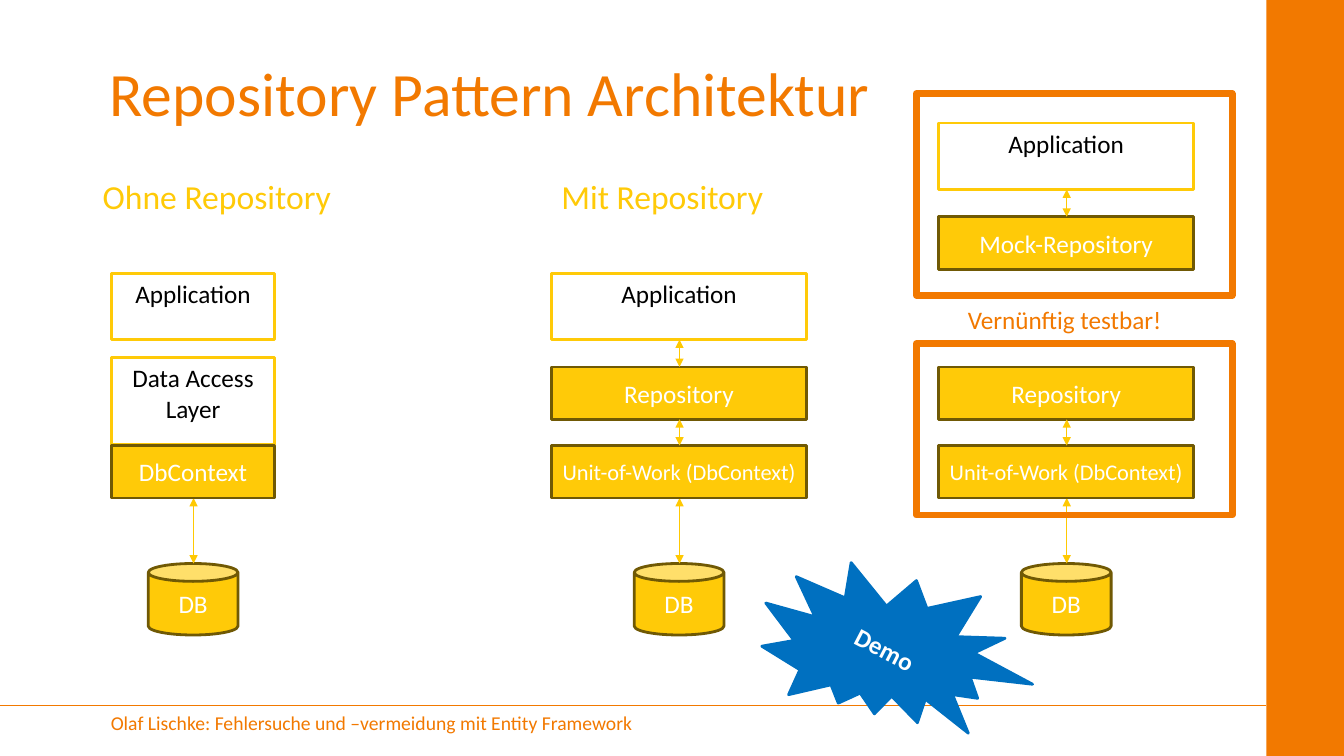
from dataclasses import dataclass

from lxml.etree import SubElement
from pptx import Presentation
from pptx.dml.color import RGBColor
from pptx.enum.shapes import MSO_CONNECTOR, MSO_SHAPE
from pptx.enum.text import MSO_ANCHOR, MSO_AUTO_SIZE, PP_ALIGN
from pptx.oxml.ns import qn
from pptx.util import Emu, Pt

PX = 9144  # EMU per px, 100 px to the inch


@dataclass(frozen=True)
class Theme:
    font: str = "Calibri"
    orange: str = "F27900"
    yellow: str = "FFCA08"
    arrow: str = "FFC902"
    brown: str = "705904"
    blue: str = "0070C0"
    white: str = "FFFFFF"
    black: str = "000000"
    title: int = 44
    heading: int = 24
    body: int = 18
    small: int = 16
    footer: int = 14
    hairline: float = 0.75
    outline: int = 2
    frame: int = 5


class Deck:
    """Holds the theme and the current slide."""

    def __init__(self, theme):
        self.t = theme
        self.prs = Presentation()
        self.prs.slide_width, self.prs.slide_height = Emu(1333 * PX), Emu(750 * PX)
        self.s = self.prs.slides.add_slide(self.prs.slide_layouts[5])

    def set_text(self, sp, text, size, color, align=PP_ALIGN.CENTER,
                 anchor=MSO_ANCHOR.MIDDLE, wrap=True, bold=False):
        tf = sp.text_frame
        frame_format = {"word_wrap": wrap, "vertical_anchor": anchor,
                        "auto_size": MSO_AUTO_SIZE.NONE if wrap
                        else MSO_AUTO_SIZE.SHAPE_TO_FIT_TEXT}
        for name, value in frame_format.items():
            setattr(tf, name, value)
        p = tf.paragraphs[0]
        p.alignment = align
        r = p.add_run()
        r.text = text
        for name, value in {"name": self.t.font, "size": Pt(size), "bold": bold}.items():
            setattr(r.font, name, value)
        r.font.color.rgb = RGBColor.from_string(color)

    def title(self, text, x, y, w, h):
        sp = self.s.shapes.title
        for name, value in {"left": x, "top": y, "width": w, "height": h}.items():
            setattr(sp, name, Emu(value * PX))
        self.set_text(sp, text, self.t.title, self.t.orange)

    def label(self, text, x, y, w, h, size, color):
        sp = self.s.shapes.add_textbox(*(Emu(v * PX) for v in (x, y, w, h)))
        self.set_text(sp, text, size, color, PP_ALIGN.LEFT, MSO_ANCHOR.TOP, wrap=False)

    def shape(self, kind, x, y, w, h, fill=None, line=None, weight=None):
        sp = self.s.shapes.add_shape(kind, *(Emu(v * PX) for v in (x, y, w, h)))
        sp.shadow.inherit = False
        if fill:
            sp.fill.solid()
            sp.fill.fore_color.rgb = RGBColor.from_string(fill)
        else:
            sp.fill.background()
        if line:
            sp.line.color.rgb = RGBColor.from_string(line)
            sp.line.width = Pt(weight or self.t.outline)
        else:
            sp.line.fill.background()
        return sp

    def outlined(self, text, x, y, w, h):
        sp = self.shape(MSO_SHAPE.RECTANGLE, x, y, w, h, self.t.white, self.t.yellow)
        self.set_text(sp, text, self.t.body, self.t.black, anchor=MSO_ANCHOR.TOP)

    def filled(self, text, x, y, w, h, size=None, kind=MSO_SHAPE.RECTANGLE):
        sp = self.shape(kind, x, y, w, h, self.t.yellow, self.t.brown)
        self.set_text(sp, text, size or self.t.body, self.t.white)

    def frame(self, x, y, w, h):
        self.shape(MSO_SHAPE.RECTANGLE, x, y, w, h, line=self.t.orange, weight=self.t.frame)

    def line(self, x1, y1, x2, y2, color, arrows=False):
        c = self.s.shapes.add_connector(
            MSO_CONNECTOR.STRAIGHT, *(Emu(v * PX) for v in (x1, y1, x2, y2)))
        c.line.color.rgb = RGBColor.from_string(color)
        c.line.width = Pt(self.t.hairline)
        properties = c._element.spPr
        if arrows:
            for end in ("a:headEnd", "a:tailEnd"):
                SubElement(properties.find(qn("a:ln")), qn(end), type="triangle")
        SubElement(properties, qn("a:effectLst"))

    def arrow(self, x, top, bottom):
        self.line(x, top, x, bottom, self.t.arrow, arrows=True)


def main():
    t = Theme()
    d = Deck(t)

    # Side band, footer and title
    d.line(0, 700, 1256, 700, t.orange)
    d.shape(MSO_SHAPE.RECTANGLE, 1256, 0, 77, 750, t.orange)
    d.label("Olaf Lischke: Fehlersuche und –vermeidung mit Entity Framework",
            100, 700, 542, 34, t.footer, t.orange)
    d.title("Repository Pattern Architektur", 78, 29, 816, 125)

    # Column headings
    d.label("Ohne Repository", 92, 170, 249, 50, t.heading, t.yellow)
    d.label("Mit Repository", 547, 170, 222, 50, t.heading, t.yellow)

    # Shared rows
    app_h, bar_h, gap = 66, 52, 27
    app_y, repo_y, context_y, db_y = 271, 364, 442, 559
    narrow, wide = 161, 253
    without_x, with_x, test_x = 111, 547, 931

    # Database under each column
    for x, w in ((without_x, narrow), (with_x, wide), (test_x, wide)):
        center = round(x + w / 2)
        d.filled("DB", center - 45, db_y, 89, 71, kind=MSO_SHAPE.CAN)
        d.arrow(center, context_y + bar_h, db_y)

    # Without repository
    d.outlined("Application", without_x, app_y, narrow, app_h)
    d.outlined("Data Access Layer", without_x, 355, narrow, 86)
    d.filled("DbContext", without_x, context_y, narrow, bar_h)

    # Repository and unit of work
    for x in (with_x, test_x):
        d.filled("Repository", x, repo_y, wide, bar_h)
        d.filled("Unit-of-Work (DbContext)", x, context_y, wide, bar_h, t.small)
        d.arrow(round(x + wide / 2), repo_y + bar_h, context_y)

    # Application above the repository or its mock
    mock_app_y = 122
    mock_y = mock_app_y + app_h + gap
    d.filled("Mock-Repository", test_x, mock_y, wide, bar_h)
    for x, y in ((with_x, app_y), (test_x, mock_app_y)):
        d.outlined("Application", x, y, wide, app_h)
        d.arrow(round(x + wide / 2), y + app_h, y + app_h + gap)

    # Testable parts
    for y, h in ((93, 200), (341, 170)):
        d.frame(909, y, 313, h)
    d.label("Vernünftig testbar!", 950, 297, 215, 40, t.body, t.orange)

    # Demo burst
    burst = d.shape(MSO_SHAPE.EXPLOSION2, 752, 559, 272, 174, t.blue, t.blue)
    burst.rotation = 27.4
    d.set_text(burst, "Demo", t.body, t.white, bold=True)

    d.prs.save("out.pptx")


if __name__ == "__main__":
    main()
